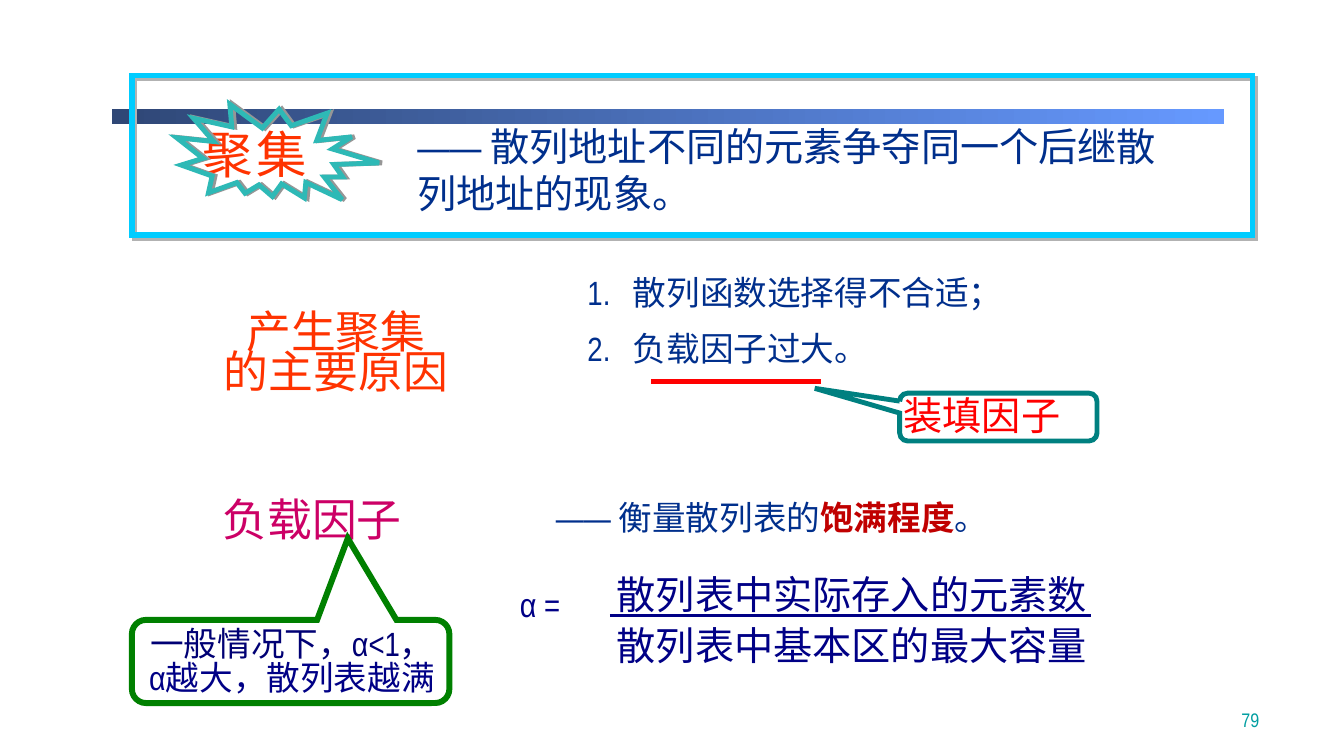
from dataclasses import dataclass
from lxml.etree import SubElement
from pptx import Presentation
from pptx.dml.color import RGBColor
from pptx.enum.shapes import MSO_CONNECTOR as Link, MSO_SHAPE as Preset
from pptx.enum.text import MSO_ANCHOR as Anchor, PP_ALIGN as Align
from pptx.oxml.ns import qn
from pptx.util import Inches, Pt


@dataclass(frozen=True)
class Theme:
    narrow: str = "Arial Narrow"
    cjk: str = "Noto Sans CJK SC"
    body: str = "002F8C"
    formula: str = "000086"
    note: str = "000074"
    orange: str = "FF3300"
    magenta: str = "CC0066"
    red: str = "FF0000"
    strong: str = "C00000"
    number: str = "009EA1"
    bar_dark: str = "2F4776"
    bar_light: str = "6699FF"
    burst: str = "2EB9B6"
    frame: str = "00CCFF"
    teal: str = "008080"
    green: str = "008000"
    burst_shadow: str = "969696"
    frame_shadow: str = "B2B2B2"
    text_shadow: str = "000000"
    headline: int = 36
    heading: int = 32
    large: int = 28
    medium: int = 24
    small: int = 14


theme = Theme()
deck = Presentation()
deck.slide_width, deck.slide_height = Inches(13.33), Inches(7.5)
slide = deck.slides.add_slide(deck.slide_layouts[6])
COLUMNS, ROWS = 160, 90


def grid(x, y, w, h):
    column, row = deck.slide_width / COLUMNS, deck.slide_height / ROWS
    return round(x * column), round(y * row), round(w * column), round(h * row)


def cast_shadow(owner, color, distance, angle):
    effects = SubElement(owner, qn("a:effectLst"))
    shadow = SubElement(effects, qn("a:outerShdw"), dist=str(Pt(distance)),
                        dir=str(angle * 60000), algn="ctr", rotWithShape="0")
    SubElement(shadow, qn("a:srgbClr"), val=color)


bar = slide.shapes.add_shape(Preset.RECTANGLE, *grid(13.3, 13, 132.4, 1.8))
bar.shadow.inherit = False
bar.line.fill.background()
bar.fill.gradient()
bar.fill.gradient_angle = 0
for stop, color in zip(bar.fill.gradient_stops, (theme.bar_dark, theme.bar_light)):
    stop.color.rgb = RGBColor.from_string(color)

t = theme
passages = [
    ((22.9, 14.1, 21.4, 8.4), t.headline, [[("聚", t.orange)]], {"shadow": True}),
    ((29.3, 14.1, 21.4, 8.4), t.headline, [[("集", t.orange)]], {"shadow": True}),
    ((48.5, 14, 91.9, 12.5), t.large,
     [[("—— 散列地址不同的元素争夺同一个后继散列地址的现象。", t.body)]], {}),
    ((25.3, 37, 29.4, 11.2), t.heading,
     [[("产生聚集", t.orange)], [("的主要原因", t.orange)]],
     {"shadow": True, "align": Align.CENTER, "spacing": 0.75, "wrap": False}),
    ((25.3, 58, 33.4, 7.6), t.heading, [[("负载因子", t.magenta)]], {"shadow": True}),
    ((106.4, 46, 34.1, 6.8), t.large, [[("装填因子", t.red)]], {}),
    ((65, 58.6, 81.8, 6.1), t.medium,
     [[("—— 衡量散列表的", t.body), ("饱满程度", t.strong), ("。", t.body)]], {}),
    ((63.6, 66.7, 75.6, 13.1), t.large,
     [[("散列表中实际存入的元素数", t.formula)],
      [("散列表中基本区的最大容量", t.formula)]],
     {"align": Align.CENTER, "spacing": 1.1}),
    ((60.7, 68.9, 13.3, 6.1), t.medium, [[("α =", t.formula)]], {}),
    ((11.3, 74.3, 46.9, 9.5), t.medium,
     [[("一般情况下，", t.note), ("α<1，", t.note)],
      [("α", t.formula), ("越大，散列表越满", t.formula)]],
     {"align": Align.CENTER, "spacing": 0.85}),
    ((117.7, 81.7, 33.4, 6), t.small, [[("79", t.number)]],
     {"align": Align.RIGHT, "anchor": Anchor.BOTTOM}),
]
for index, reason in enumerate(("散列函数选择得不合适；", "负载因子过大。")):
    passages.append(((67.8, 31.8 + 6.6 * index, 77.3, 6), t.medium,
                     [[(reason, t.body)]], {"start": index + 1}))

for area, size, lines, style in passages:
    frame = slide.shapes.add_textbox(*grid(*area)).text_frame
    frame.word_wrap = style.get("wrap", True)
    frame.vertical_anchor = style.get("anchor", Anchor.TOP)
    for index, pieces in enumerate(lines):
        line = frame.add_paragraph() if index else frame.paragraphs[0]
        line.alignment = style.get("align", Align.LEFT)
        line.line_spacing = style.get("spacing", 1.0)
        if "start" in style:
            properties = line._p.get_or_add_pPr()
            properties.set("marL", str(Inches(0.53)))
            properties.set("indent", str(-Inches(0.45)))
            SubElement(properties, qn("a:buFont"), typeface=theme.narrow)
            SubElement(properties, qn("a:buAutoNum"), type="arabicPeriod",
                       startAt=str(style["start"]))
        for words, color in pieces:
            run = line.add_run()
            run.text = words
            run.font.size = Pt(size)
            run.font.bold = color == theme.strong
            run.font.color.rgb = RGBColor.from_string(color)
            if "shadow" in style:
                cast_shadow(run._r.get_or_add_rPr(), theme.text_shadow, 2, 45)
            cjk_note = words in ("一般情况下，", "越大，散列表越满")
            run.font.name = theme.cjk if cjk_note else theme.narrow
            SubElement(run._r.get_or_add_rPr(), qn("a:ea"), typeface=theme.narrow)

outlines = [
    (Preset.EXPLOSION2, (20.9, 12, 24, 13), t.burst, 3.5, 16, (),
     (t.burst_shadow, 2, 0)),
    (Preset.RECTANGLE, (15.7, 9, 133.4, 19), t.frame, 4, 0, (),
     (t.frame_shadow, 2.8, 45)),
    (Preset.ROUNDED_RECTANGULAR_CALLOUT, (107.1, 46.8, 23.5, 5.7), t.teal, 3.5, 0,
     (-0.93, -0.6, 0.17), None),
    (Preset.ROUNDED_RECTANGULAR_CALLOUT, (15.7, 73.8, 37.8, 9.9), t.green, 4.25, 0,
     (0.18, -1.48, 0.17), None),
]
for preset, area, color, weight, turn, handles, shade in outlines:
    outline = slide.shapes.add_shape(preset, *grid(*area))
    outline.rotation = turn
    for index, handle in enumerate(handles):
        outline.adjustments[index] = handle
    outline.fill.background()
    outline.line.color.rgb = RGBColor.from_string(color)
    outline.line.width = Pt(weight)
    SubElement(outline.line._get_or_add_ln(), qn("a:miter"), lim="800000")
    if shade:
        cast_shadow(outline._element.spPr, *shade)
    else:
        outline.shadow.inherit = False

rules = [((77.5, 45.4, 20.2), t.red, 3.5), ((72.6, 73.3, 57.3), t.formula, 1.75)]
for (x, y, length), color, weight in rules:
    left, top, width, _ = grid(x, y, length, 0)
    rule = slide.shapes.add_connector(Link.STRAIGHT, left, top, left + width, top)
    rule.line.color.rgb = RGBColor.from_string(color)
    rule.line.width = Pt(weight)
    SubElement(rule._element.spPr, qn("a:effectLst"))

deck.save("out.pptx")
